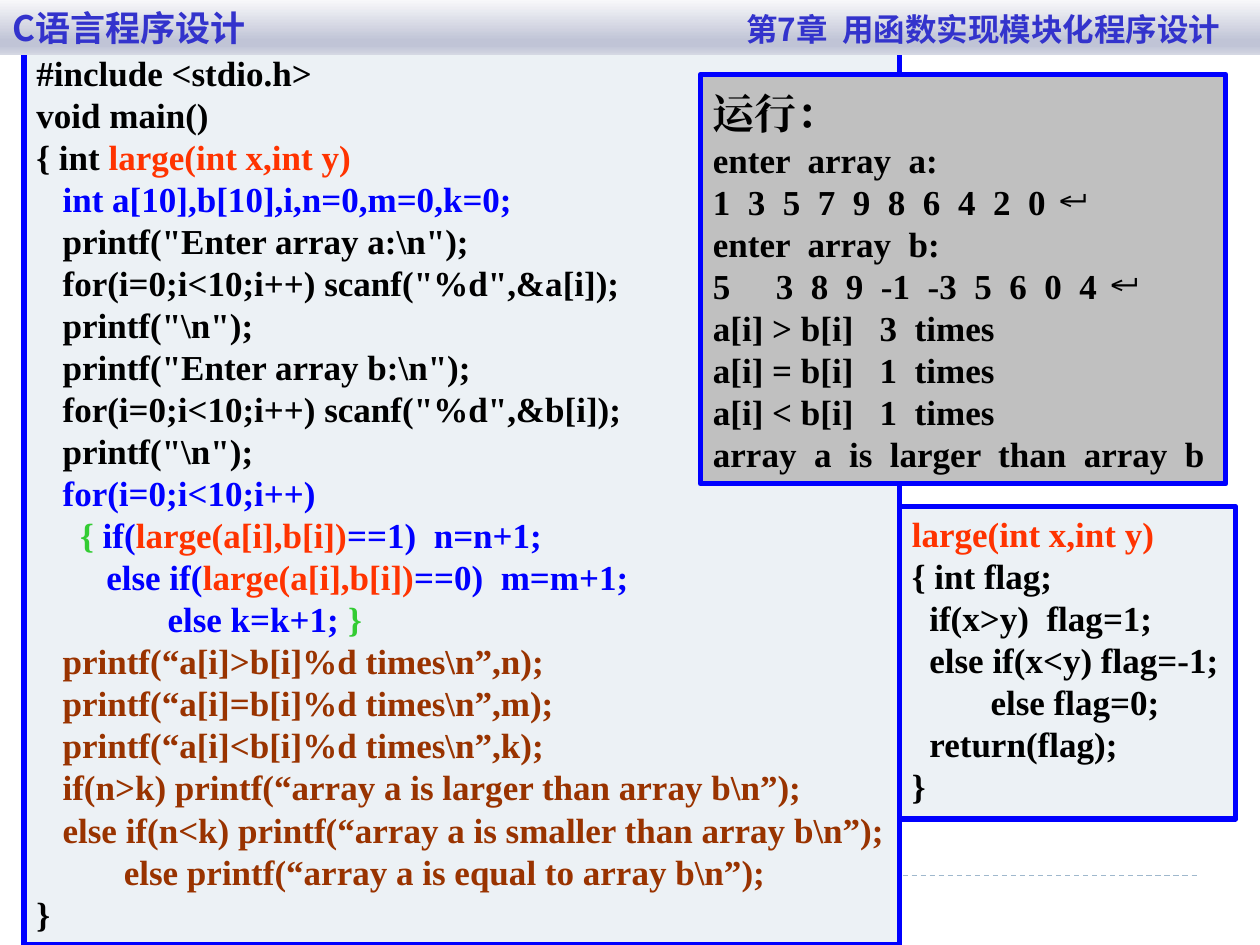
"""Build the slide with two C listings and the output of their run."""
from dataclasses import dataclass

from lxml.etree import SubElement
from pptx import Presentation
from pptx.dml.color import RGBColor
from pptx.enum.dml import MSO_LINE
from pptx.enum.shapes import MSO_CONNECTOR, MSO_SHAPE
from pptx.enum.text import MSO_ANCHOR, MSO_AUTO_SIZE, PP_ALIGN
from pptx.oxml.ns import qn
from pptx.util import Pt

INK, RED, BLUE, GREEN, BROWN = "000000", "FF3300", "0000FF", "33CC33", "993300"
PALE, GREY, NAVY = "ECF1F5", "C0C0C0", "3333CC"
SERIF, SANS = "Times New Roman", "Noto Sans CJK JP"
CALL = ("large(a[i],b[i])", RED)


@dataclass
class Run:
    text: str
    hue: str = INK
    size: float = 20
    font: str = SERIF


@dataclass
class Line:
    runs: list[Run]
    pitch: float = 24
    start: int = 0


@dataclass
class Panel:
    left: float
    top: float
    width: float
    height: float
    fill: str
    lines: list[Line]
    anchor: MSO_ANCHOR = MSO_ANCHOR.TOP


def line(*parts: tuple[str, str]) -> Line:
    """Make a line from pairs of text and colour."""
    return Line([Run(*part) for part in parts])


def block(hue: str, *texts: str) -> list[Line]:
    """Make lines that share one colour."""
    return [line((text, hue)) for text in texts]


MAIN = [
    *block(INK, "#include <stdio.h>", "void main()"),
    line(("{ int ", INK), ("large(int x,int y)", RED)),
    *block(BLUE, "   int a[10],b[10],i,n=0,m=0,k=0;"),
    *block(
        INK,
        '   printf("Enter array a:\\n");',
        '   for(i=0;i<10;i++) scanf("%d",&a[i]);',
        '   printf("\\n");',
        '   printf("Enter array b:\\n");',
        '   for(i=0;i<10;i++) scanf("%d",&b[i]);',
        '   printf("\\n");',
    ),
    *block(BLUE, "   for(i=0;i<10;i++)"),
    line(("     {", GREEN), (" if(", BLUE), CALL, ("==1)  n=n+1;", BLUE)),
    line(("        else if(", BLUE), CALL, ("==0)  m=m+1;", BLUE)),
    line(("               else k=k+1; ", BLUE), ("}", GREEN)),
    *block(
        BROWN,
        "   printf(“a[i]>b[i]%d times\\n”,n);",
        "   printf(“a[i]=b[i]%d times\\n”,m);",
        "   printf(“a[i]<b[i]%d times\\n”,k);",
        "   if(n>k) printf(“array a is larger than array b\\n”);",
        "   else if(n<k) printf(“array a is smaller than array b\\n”);",
        "          else printf(“array a is equal to array b\\n”);",
    ),
    *block(INK, "}"),
]
LARGE = [
    *block(RED, "large(int x,int y)"),
    *block(
        INK,
        "{ int flag;",
        "  if(x>y)  flag=1;",
        "  else if(x<y) flag=-1;",
        "         else flag=0;",
        "  return(flag);",
        "}",
    ),
]
OUTPUT = [
    Line([Run("运行：", size=24)], pitch=31),
    *block(
        INK,
        "enter  array  a:",
        "1  3  5  7  9  8  6  4  2  0 ↵",
        "enter  array  b:",
    ),
    Line([Run("3  8  9  -1  -3  5  6  0  4 ↵")], start=5),
    *block(
        INK,
        "a[i] > b[i]   3  times",
        "a[i] = b[i]   1  times",
        "a[i] < b[i]   1  times",
        "array  a  is  larger  than  array  b",
    ),
]
PANELS = [
    Panel(13.7, 26, 500.4, 514, PALE, MAIN),
    Panel(514, 289.4, 192.2, 178.6, PALE, LARGE),
    Panel(400.3, 42.5, 300.2, 234, GREY, OUTPUT, MSO_ANCHOR.MIDDLE),
]


def tint(hue: str) -> RGBColor:
    """Turn a hex string into a colour."""
    return RGBColor.from_string(hue)


def add_run(para, run: Run) -> None:
    """Add one bold run to a paragraph."""
    item = para.add_run()
    item.text = run.text
    font = item.font
    font.name, font.size, font.bold = run.font, Pt(run.size), True
    font.color.rgb = tint(run.hue)
    SubElement(item._r.get_or_add_rPr(), qn("a:ea"), typeface=run.font)


def add_line(para, row: Line) -> None:
    """Fill a paragraph with one line, numbered if it has a start."""
    para.alignment = PP_ALIGN.LEFT
    para.line_spacing = Pt(row.pitch)
    if row.start:
        props = para._p.get_or_add_pPr()
        props.set("marL", str(Pt(36)))
        props.set("indent", str(-Pt(36)))
        SubElement(props, qn("a:buAutoNum"), type="arabicPlain", startAt=str(row.start))
    for run in row.runs:
        add_run(para, run)


def add_panel(slide, panel: Panel) -> None:
    """Draw a framed box of lines."""
    place = map(Pt, (panel.left, panel.top, panel.width, panel.height))
    shape = slide.shapes.add_shape(MSO_SHAPE.RECTANGLE, *place)
    shape.shadow.inherit = False
    shape.fill.solid()
    shape.fill.fore_color.rgb = tint(panel.fill)
    shape.line.color.rgb = tint(BLUE)
    shape.line.width = Pt(3)
    frame = shape.text_frame
    frame.word_wrap = False
    frame.auto_size = MSO_AUTO_SIZE.NONE
    frame.vertical_anchor = panel.anchor
    for count, row in enumerate(panel.lines):
        add_line(frame.add_paragraph() if count else frame.paragraphs[0], row)


def add_rule(slide) -> None:
    """Draw the dashed rule near the foot."""
    rule = slide.shapes.add_connector(
        MSO_CONNECTOR.STRAIGHT, Pt(36), Pt(500.4), Pt(684), Pt(500.4)
    )
    rule.line.color.rgb = tint("9FB8CD")
    rule.line.width = Pt(0.75)
    rule.line.dash_style = MSO_LINE.DASH
    SubElement(rule._element.spPr, qn("a:effectLst"))


def set_title(slide) -> None:
    """Shape the title into a shaded band above the panels."""
    title = slide.shapes.title
    title.left, title.top, title.width, title.height = map(Pt, (0, 0, 720, 31.5))
    title.fill.gradient()
    title.fill.gradient_angle = 270
    stops = title._element.spPr.find(".//" + qn("a:gsLst"))
    for stop in list(stops):
        stops.remove(stop)
    for spot, hue in ((0, "F8F8FA"), (74, "C0C4D6"), (83, "C0C4D6"), (100, "D5D8E3")):
        stop = SubElement(stops, qn("a:gs"), pos=str(spot * 1000))
        SubElement(stop, qn("a:srgbClr"), val=hue)
    frame = title.text_frame
    frame.word_wrap = True
    frame.auto_size = MSO_AUTO_SIZE.NONE
    frame.vertical_anchor = MSO_ANCHOR.MIDDLE
    para = frame.paragraphs[0]
    para.alignment = PP_ALIGN.LEFT
    tabs = SubElement(para._p.get_or_add_pPr(), qn("a:tabLst"))
    SubElement(tabs, qn("a:tab"), pos=str(Pt(690)), algn="r")
    add_run(para, Run("C语言程序设计\t", NAVY, 20, SANS))
    add_run(para, Run("第7章  用函数实现模块化程序设计", NAVY, 18, SANS))
    slide.shapes._spTree.append(title._element)


def main() -> None:
    """Build and save the deck."""
    deck = Presentation()
    deck.slide_width, deck.slide_height = Pt(720), Pt(540)
    slide = deck.slides.add_slide(deck.slide_layouts[5])
    add_rule(slide)
    for panel in PANELS:
        add_panel(slide, panel)
    set_title(slide)
    deck.save("out.pptx")


if __name__ == "__main__":
    main()
